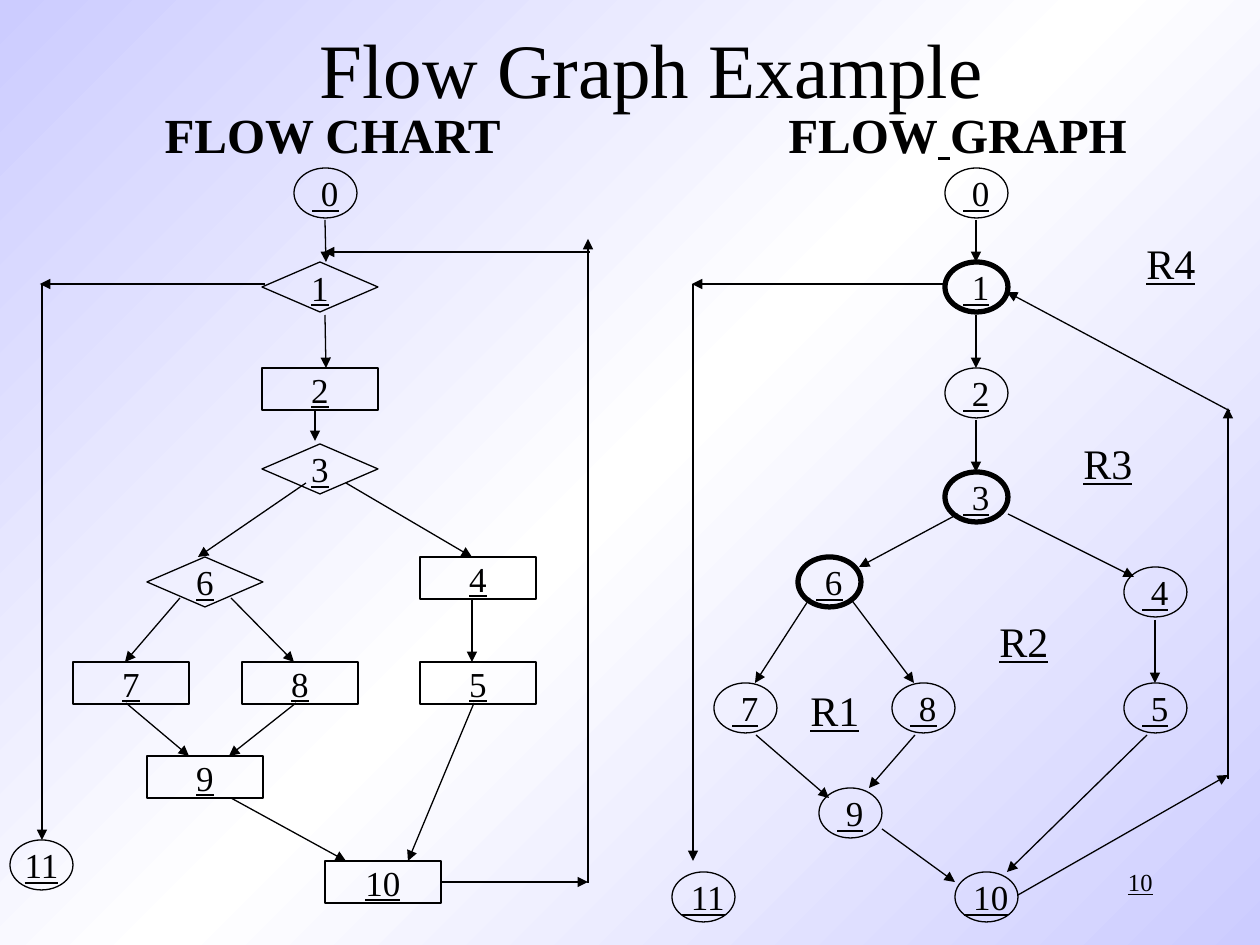
from copy import deepcopy

from lxml.etree import SubElement
from pptx import Presentation
from pptx.dml.color import RGBColor
from pptx.enum.shapes import MSO_CONNECTOR as Connector, MSO_SHAPE as Shape
from pptx.enum.text import MSO_ANCHOR as Anchor, MSO_AUTO_SIZE as AutoSize, PP_ALIGN as Align
from pptx.oxml.ns import qn
from pptx.util import Emu, Pt

EMU_PER_PX = 914400 / 126
COLORS = {"ink": "000000", "edge": "CCCCFF", "middle": "FFFFFF"}
FONT = "Times New Roman"

# kind: (preset shape, width, height, line width)
NODE_KINDS = {
    "circle": (Shape.OVAL, 63, 50, 0.75),
    "bold circle": (Shape.OVAL, 63, 50, 3),
    "decision": (Shape.FLOWCHART_DECISION, 116, 50, 0.75),
    "process": (Shape.RECTANGLE, 116, 42, 0.75),
}

CHART_NODES = [
    (" 0", "circle", 294, 168),
    ("1", "decision", 262, 262),
    ("2", "process", 262, 368),
    ("3", "decision", 262, 444),
    ("4", "process", 420, 557),
    ("5", "process", 420, 662),
    ("6", "decision", 147, 557),
    ("7", "process", 73, 662),
    ("8", "process", 242, 662),
    ("9", "process", 147, 756),
    ("10", "process", 325, 861),
    ("11", "circle", 10, 840),
]
CHART_ARROWS = [
    (325, 220, 326, 262), (325, 315, 326, 368), (315, 410, 315, 441),
    (306, 483, 198, 557), (346, 483, 472, 557), (472, 598, 472, 662),
    (180, 598, 125, 662), (231, 598, 294, 662), (126, 703, 189, 756),
    (296, 703, 229, 756), (231, 798, 346, 861), (474, 703, 408, 861),
    (265, 284, 40, 284), (42, 284, 42, 840),
    (588, 883, 588, 239), (590, 252, 324, 252),
]

GRAPH_NODES = [
    (" 0", "circle", 945, 168),
    (" 1", "bold circle", 945, 262),
    (" 2", "circle", 945, 368),
    (" 3", "bold circle", 945, 472),
    (" 4", "circle", 1124, 567),
    (" 5", "circle", 1124, 683),
    (" 6", "bold circle", 798, 557),
    (" 7", "circle", 714, 683),
    (" 8", "circle", 892, 683),
    (" 9", "circle", 819, 788),
    (" 10", "circle", 955, 872),
    (" 11", "circle", 672, 872),
]
GRAPH_ARROWS = [
    (976, 220, 976, 262), (976, 315, 976, 368), (976, 420, 976, 472),
    (958, 514, 859, 567), (1008, 514, 1134, 577), (810, 598, 755, 683),
    (850, 598, 914, 683), (756, 735, 829, 798), (915, 735, 869, 788),
    (882, 829, 955, 882), (1147, 735, 1007, 872), (1155, 620, 1155, 683),
    (946, 284, 692, 284), (693, 284, 693, 861), (1018, 895, 1228, 775),
    (1228, 779, 1228, 408), (1230, 411, 1007, 292),
]
REGIONS = [("R1", 798, 678), ("R2", 987, 609), ("R3", 1071, 431), ("R4", 1134, 231)]


def px(*lengths):
    return [Emu(round(length * EMU_PER_PX)) for length in lengths]


def color(name):
    return RGBColor.from_string(COLORS[name])


class FlowPage:
    """Holds the style and the slide being drawn."""

    def __init__(self, page):
        self.page = page

    def background(self):
        fill = self.page.background.fill
        fill.gradient()
        fill.gradient_angle = 135
        stop_list = self.page.element.find(".//" + qn("a:gsLst"))
        stop_list.append(deepcopy(stop_list[0]))
        stops = [(0, "edge"), (0.5, "middle"), (1, "edge")]
        for stop, (position, name) in zip(fill.gradient_stops, stops):
            stop.position = position
            stop.color.rgb = color(name)

    def format_text(self, box, size, align=Align.CENTER, bold=False, underline=False):
        para = box.text_frame.paragraphs[0]
        para.alignment = align
        for span in para.runs:
            font = span.font
            font.name, font.size = FONT, Pt(size)
            font.bold, font.underline = bold, underline
            font.color.rgb = color("ink")

    def title(self, text, *place):
        box = self.page.shapes.title
        box.left, box.top, box.width, box.height = px(*place)
        box.text_frame.text = text
        box.text_frame.vertical_anchor = Anchor.MIDDLE
        self.format_text(box, 44)

    def label(self, spans, place, size, wrap=False, **style):
        box = self.page.shapes.add_textbox(*px(*place))
        frame = box.text_frame
        frame.word_wrap = wrap
        frame.auto_size = AutoSize.NONE if wrap else AutoSize.SHAPE_TO_FIT_TEXT
        para = frame.paragraphs[0]
        for text in spans:
            para.add_run().text = text
        self.format_text(box, size, **style)
        return box

    def node(self, text, kind, left, top):
        preset, width, height, line_width = NODE_KINDS[kind]
        shape = self.page.shapes.add_shape(preset, *px(left, top, width, height))
        shape.shadow.inherit = False
        shape.fill.background()
        shape.line.color.rgb = color("ink")
        shape.line.width = Pt(line_width)
        shape.text_frame.text = text
        shape.text_frame.word_wrap = False
        shape.text_frame.vertical_anchor = Anchor.MIDDLE
        self.format_text(shape, 20, underline=True)
        return shape

    def arrow(self, *ends):
        line = self.page.shapes.add_connector(Connector.STRAIGHT, *px(*ends))
        line.line.color.rgb = color("ink")
        line.line.width = Pt(0.75)
        properties = line.element.spPr
        SubElement(properties.find(qn("a:ln")), qn("a:tailEnd"), type="triangle")
        SubElement(properties, qn("a:effectLst"))
        return line


def main():
    deck = Presentation()
    deck.slide_width, deck.slide_height = px(1260, 945)
    flow = FlowPage(deck.slides.add_slide(deck.slide_layouts[5]))
    flow.background()
    flow.title("Flow Graph Example", 116, 0, 1071, 136)
    flow.label(["10"], (903, 861, 262, 63), 14, wrap=True,
               align=Align.RIGHT, underline=True)

    chart = {text: flow.node(text, *place) for text, *place in CHART_NODES}
    for ends in CHART_ARROWS:
        flow.arrow(*ends)
    flow.arrow(441, 882, 588, 882).begin_connect(chart["10"], 3)

    for node in GRAPH_NODES:
        flow.node(*node)
    for ends in GRAPH_ARROWS:
        flow.arrow(*ends)
    for text, left, top in REGIONS:
        flow.label([text], (left, top, 74, 63), 24, underline=True)

    flow.label(["FLOW CHART"], (147, 98, 371, 72), 28, bold=True)
    heading = flow.label(["FLOW", " ", "GRAPH"], (772, 98, 371, 72), 28, bold=True)
    heading.text_frame.paragraphs[0].runs[1].font.underline = True
    deck.save("out.pptx")


if __name__ == "__main__":
    main()
